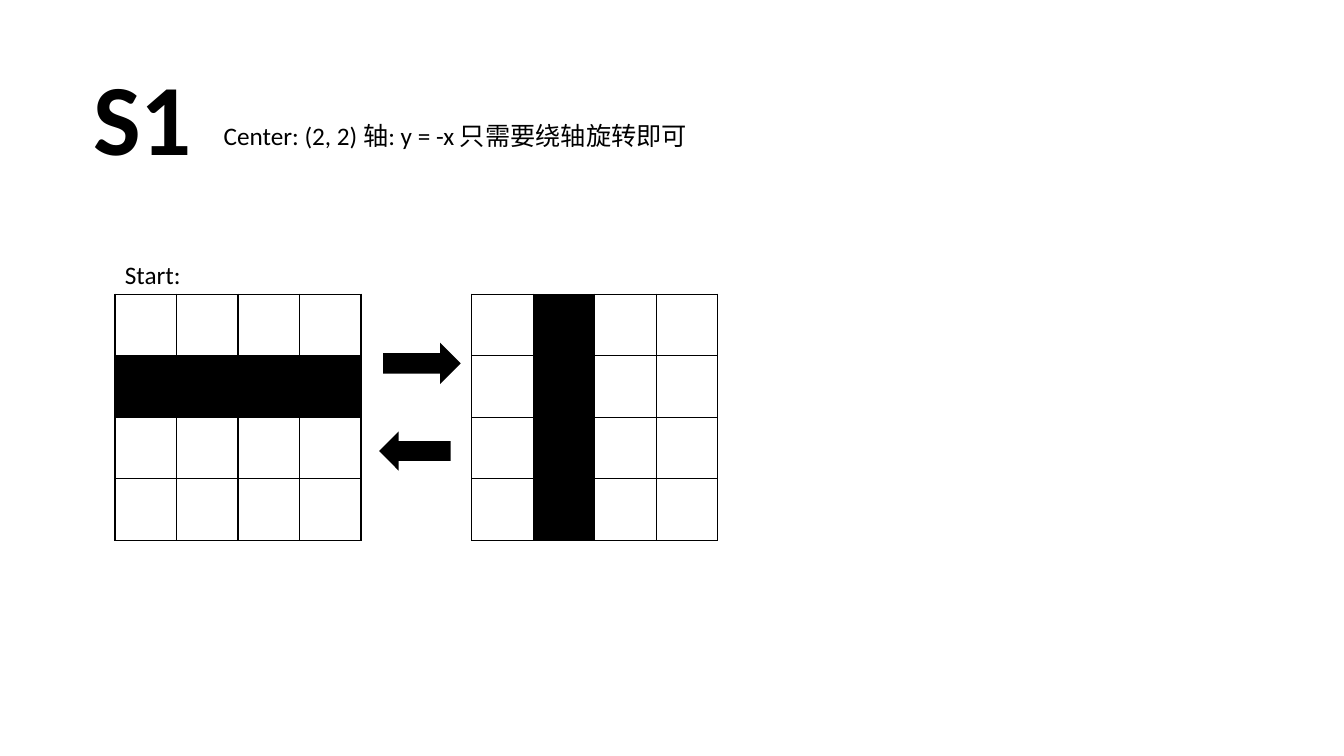
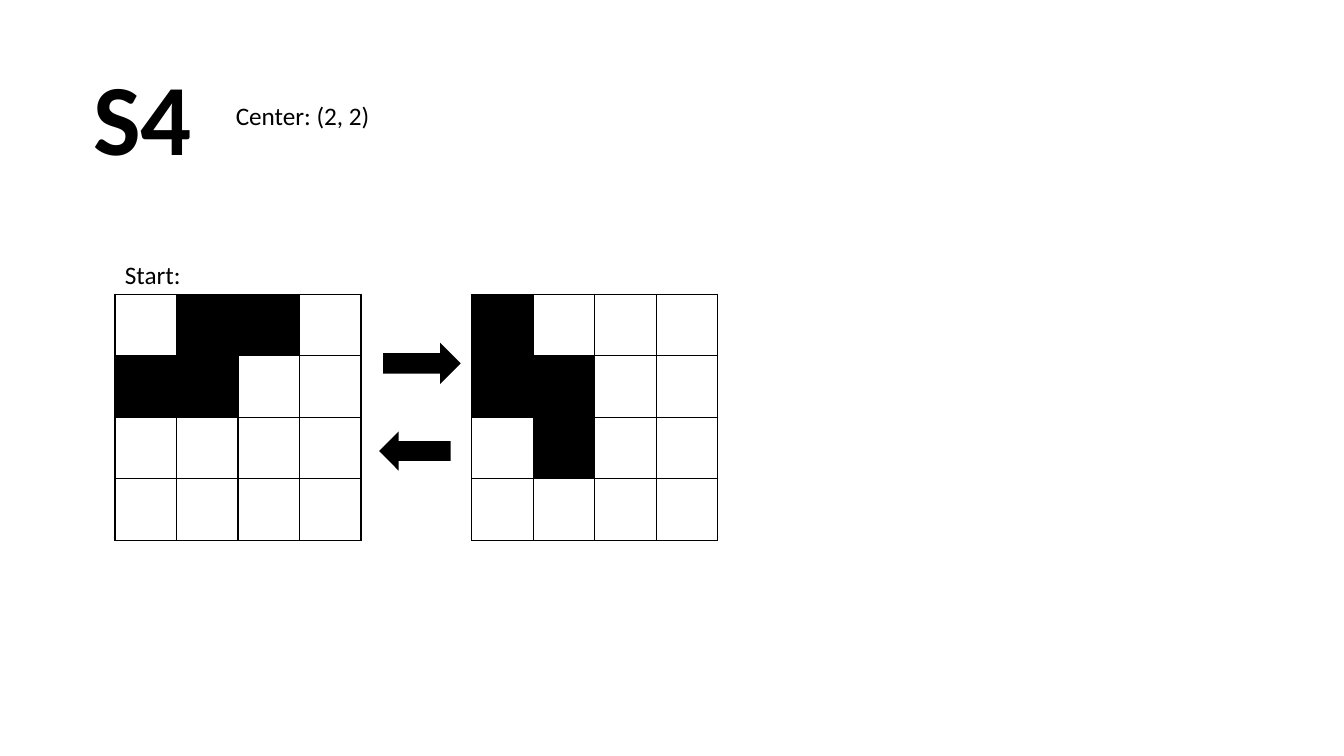
from lxml.etree import SubElement
from pptx import Presentation
from pptx.dml.color import RGBColor
from pptx.enum.shapes import MSO_SHAPE as Preset
from pptx.enum.text import MSO_ANCHOR as Anchor, MSO_AUTO_SIZE as AutoSize, PP_ALIGN as Align
from pptx.oxml.ns import qn
from pptx.util import Inches, Pt

# Each piece: name, note, note box (left, top, width, height), start and turned grids
PIECES = [
    ("S1", "Center: (2, 2) 轴: y = -x 只需要绕轴旋转即可", (2.12, 1.14, 4.99, 0.71),
     ("....", "####", "....", "...."),
     (".#..", ".#..", ".#..", ".#..")),
    ("S4", "Center: (2, 2)", (2.24, 0.95, 1.63, 0.4),
     (".##.", "##..", "....", "...."),
     ("#...", "##..", ".#..", "....")),
]
START_LABEL = "Start:"

FONT = "Calibri"
BLACK = "000000"
TITLE_BOX = (0.71, 0.49, 1.41, 1.31)
START_BOX = (1.14, 2.52, 1.39, 0.4)
GRID_LEFTS = (1.14, 4.68)
GRID_TOP = 2.92
CELL = 0.61
ARROWS = [
    (Preset.RIGHT_ARROW, (3.8, 3.4, 0.77, 0.41)),
    (Preset.LEFT_ARROW, (3.76, 4.28, 0.71, 0.39)),
]


def paint(target, hex_colour):
    """Give a fill a solid colour."""
    target.solid()
    target.fore_color.rgb = RGBColor.from_string(hex_colour)


def inches(box):
    """Turn a box of numbers into lengths."""
    return [Inches(value) for value in box]


def write(frame, text, size, bold=False, align=Align.LEFT, wrap=True):
    """Put one styled line of text into a text frame."""
    frame.text = text
    frame.word_wrap = wrap
    frame.auto_size = AutoSize.NONE
    frame.vertical_anchor = Anchor.TOP
    line = frame.paragraphs[0]
    line.alignment = align
    font = line.runs[0].font
    font.name, font.size, font.bold = FONT, Pt(size), bold
    paint(font.fill, BLACK)


def add_title(slide, name):
    """Place the piece's name in the title placeholder."""
    title = slide.shapes.title
    title.left, title.top, title.width, title.height = inches(TITLE_BOX)
    write(title.text_frame, name, 72, bold=True, align=Align.CENTER, wrap=False)


def add_label(slide, text, box):
    """Add a line of body text."""
    write(slide.shapes.add_textbox(*inches(box)).text_frame, text, 18)


def add_borders(cell):
    """Draw a thin black line on all four sides of a cell."""
    properties = cell._tc.get_or_add_tcPr()
    for side in ("a:lnL", "a:lnR", "a:lnT", "a:lnB"):
        border = SubElement(properties, qn(side), w=str(Pt(1)))
        SubElement(SubElement(border, qn("a:solidFill")), qn("a:srgbClr"), val=BLACK)


def add_grid(slide, rows, left):
    """Add a square grid as a table, black where the pattern has a #."""
    count = len(rows)
    side = CELL * count
    grid = slide.shapes.add_table(count, count, *inches((left, GRID_TOP, side, side))).table
    grid.first_row = grid.horz_banding = False
    for index, pattern in enumerate(rows):
        grid.rows[index].height = grid.columns[index].width = Inches(CELL)
        for column, mark in enumerate(pattern):
            cell = grid.cell(index, column)
            add_borders(cell)
            if mark == "#":
                paint(cell.fill, BLACK)
            else:
                cell.fill.background()


def add_arrow(slide, preset, box):
    """Add a solid black block arrow."""
    arrow = slide.shapes.add_shape(preset, *inches(box))
    arrow.shadow.inherit = False
    paint(arrow.fill, BLACK)
    arrow.line.fill.background()


def build():
    """Build one slide for each piece and save the deck."""
    deck = Presentation()
    deck.slide_width, deck.slide_height = Inches(13.33), Inches(7.5)
    title_only = deck.slide_layouts[5]
    for name, note, note_box, *grids in PIECES:
        slide = deck.slides.add_slide(title_only)
        add_title(slide, name)
        for rows, left in zip(grids, GRID_LEFTS):
            add_grid(slide, rows, left)
        for preset, box in ARROWS:
            add_arrow(slide, preset, box)
        add_label(slide, note, note_box)
        add_label(slide, START_LABEL, START_BOX)
    deck.save("out.pptx")


build()
